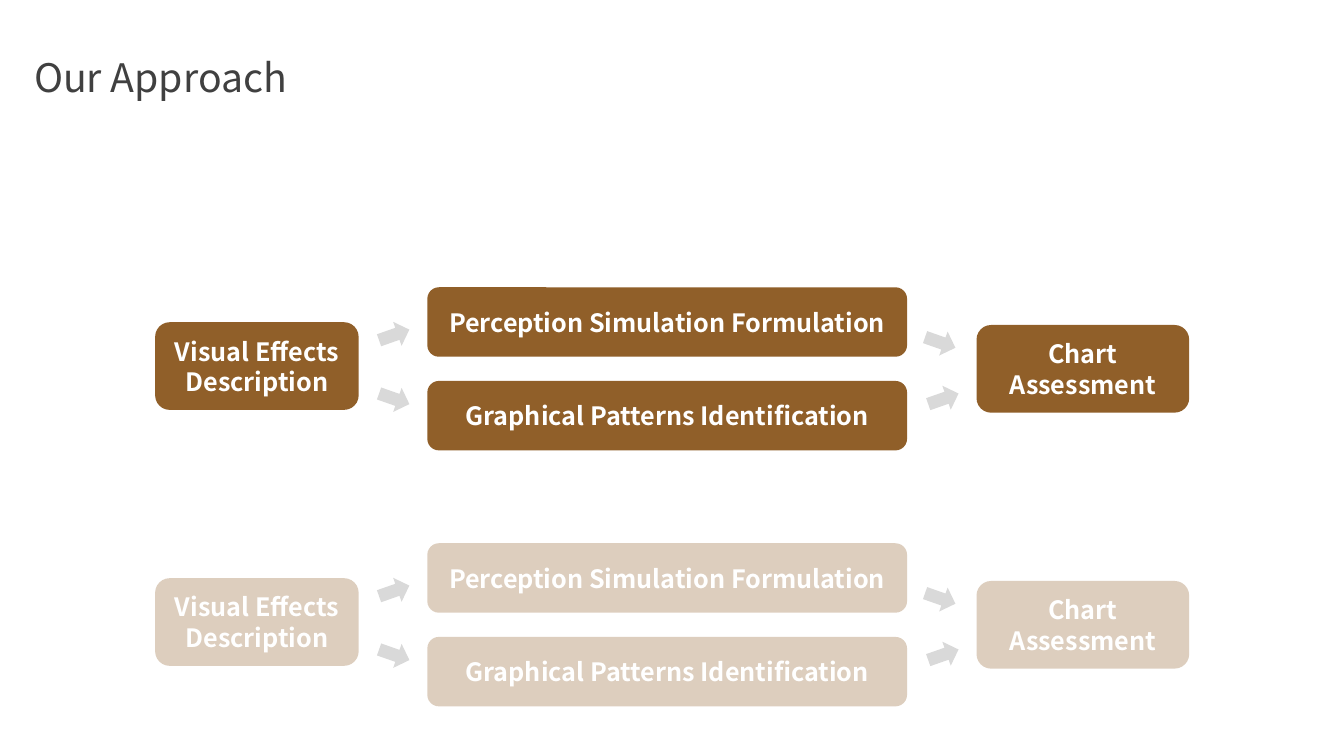
from lxml import etree
from pptx import Presentation
from pptx.dml.color import RGBColor
from pptx.enum.shapes import MSO_SHAPE
from pptx.enum.text import MSO_ANCHOR, MSO_AUTO_SIZE, PP_ALIGN
from pptx.oxml.ns import qn
from pptx.util import Cm, Pt

ROUND, ARROW = MSO_SHAPE.ROUNDED_RECTANGLE, MSO_SHAPE.RIGHT_ARROW
MIDDLE, FIXED = MSO_ANCHOR.MIDDLE, MSO_AUTO_SIZE.NONE
LEFT, CENTER = PP_ALIGN.LEFT, PP_ALIGN.CENTER

FONT = "Noto Sans CJK SC"
HUES = {"ink": "404040", "brown": "905F29", "gray": "D9D9D9", "white": "FFFFFF"}

STEPS = [
    ("Visual Effects Description", 3.91, 8.12, 5.13, 2.21),
    ("Chart Assessment", 24.61, 8.19, 5.36, 2.21),
    ("Perception Simulation Formulation", 10.77, 7.24, 12.09, 1.75),
    ("Graphical Patterns Identification", 10.77, 9.6, 12.09, 1.75),
]
TILT = 19.3
ARROWS = [(9.53, 8.12, -TILT), (9.53, 9.73, TILT),
          (23.37, 9.73, -TILT), (23.29, 8.31, TILT)]
ROW_GAP = 6.45


def write(frame, words, size=18, hue="white", bold=False, align=CENTER, space=None):
    """Put one formatted paragraph into a text frame."""
    frame.word_wrap = True
    frame.auto_size = FIXED
    frame.vertical_anchor = MIDDLE
    line = frame.paragraphs[0]
    line.alignment = align
    line.line_spacing = space
    run = line.add_run()
    run.text = words
    run.font.name = FONT
    run.font.size = Pt(size)
    run.font.bold = bold
    run.font.color.rgb = RGBColor.from_string(HUES[hue])


class Deck:
    """Holds the style, the current slide and the group being filled."""

    def __init__(self):
        """Open a wide deck with one title slide."""
        self.file = Presentation()
        self.file.slide_width = Cm(33.87)
        self.file.slide_height = Cm(19.05)
        self.slide = self.file.slides.add_slide(self.file.slide_layouts[5])
        self.group = None

    def title(self, words):
        """Place and fill the title."""
        spot = self.slide.shapes.title
        spot.left, spot.top, spot.width, spot.height = Cm(0), Cm(0), Cm(31.65), Cm(4.04)
        spot.text_frame.margin_left = Cm(0.86)
        write(spot.text_frame, words, size=28, hue="ink", align=LEFT, space=0.9)

    def shape(self, kind, x, y, wide, high, hue):
        """Add a flat shape to the current group."""
        item = self.group.shapes.add_shape(kind, Cm(x), Cm(y), Cm(wide), Cm(high))
        item.shadow.inherit = False
        item.fill.solid()
        item.fill.fore_color.rgb = RGBColor.from_string(HUES[hue])
        item.line.fill.background()
        return item

    def step(self, words, x, y, wide, high, alpha):
        """Add a rounded box with a label."""
        box = self.shape(ROUND, x, y, wide, high, "brown")
        if alpha < 100:
            tint = box.fill._xPr.find(qn("a:solidFill"))[0]
            etree.SubElement(tint, qn("a:alpha"), val=str(alpha * 1000))
        write(box.text_frame, words, bold=True)

    def arrow(self, x, y, turn):
        """Add a small tilted arrow."""
        self.shape(ARROW, x, y, 0.81, 0.64, "gray").rotation = turn

    def flow(self, drop, alpha):
        """Add one whole flow, lowered by drop."""
        self.group = self.slide.shapes.add_group_shape()
        for words, x, y, wide, high in STEPS:
            self.step(words, x, y + drop, wide, high, alpha)
        for x, y, turn in ARROWS:
            self.arrow(x, y + drop, turn)


def main():
    """Build and save the slide."""
    deck = Deck()
    deck.title("Our Approach")
    for row, alpha in enumerate((100, 30)):
        deck.flow(row * ROW_GAP, alpha)
    deck.file.save("out.pptx")


if __name__ == "__main__":
    main()
